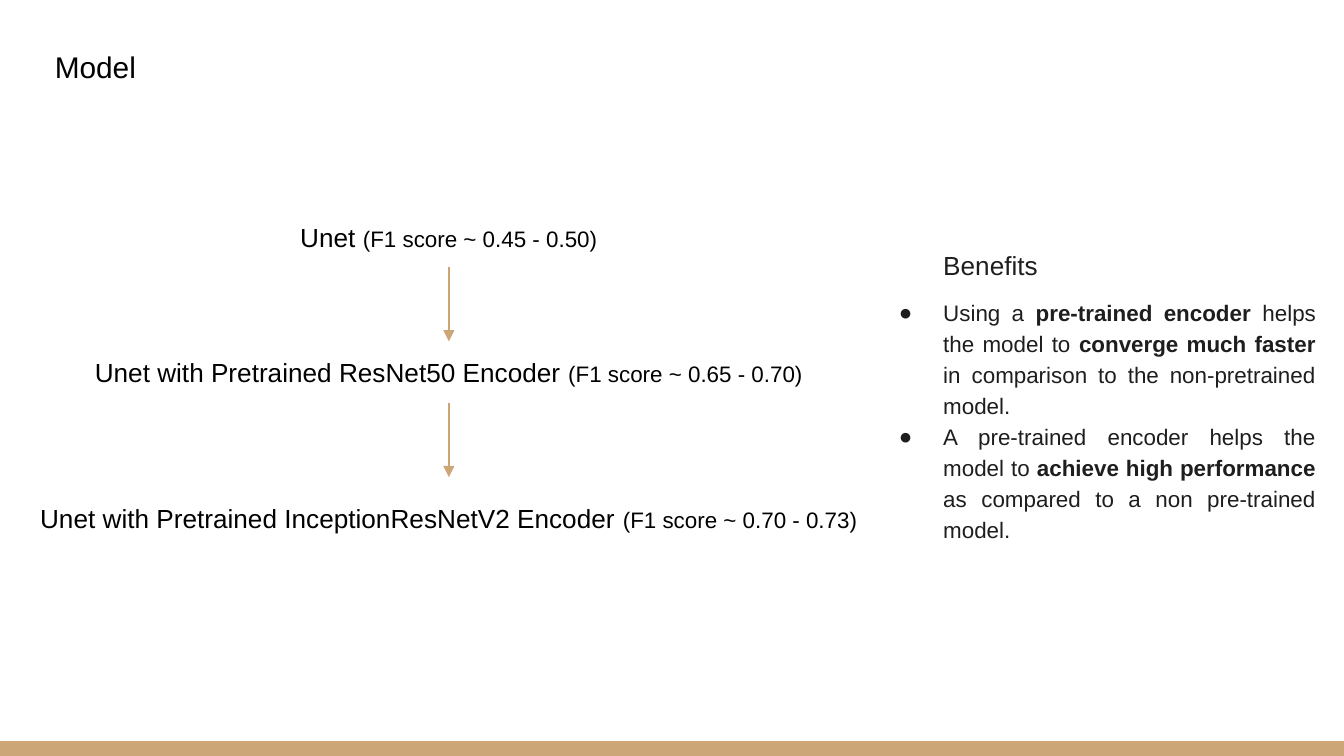
"""Build the Model slide: three encoder stages and the benefits of pre-training."""
import lxml.etree
import pptx
import pptx.dml.color
import pptx.enum.shapes
import pptx.enum.text
import pptx.oxml.ns
import pptx.util

Inches = pptx.util.Inches
Pt = pptx.util.Pt
qn = pptx.oxml.ns.qn
ALIGN = pptx.enum.text.PP_ALIGN
COLORS = {"text": "000000", "benefits": "1E1E1E", "accent": "CCA677", "background": "FFFFFF"}


def add_text_box(slide, left, top, width, height):
    text_frame = slide.shapes.add_textbox(
        Inches(left), Inches(top), Inches(width), Inches(height)).text_frame
    text_frame.word_wrap = True
    text_frame.margin_left = text_frame.margin_right = Inches(0.1)
    text_frame.margin_top = text_frame.margin_bottom = Inches(0.1)
    return text_frame


def add_run(paragraph, text, size, color, bold=False):
    run = paragraph.add_run()
    run.text = text
    run.font.name = "Arial"
    run.font.size = Pt(size)
    run.font.bold = bold
    run.font.color.rgb = pptx.dml.color.RGBColor.from_string(COLORS[color])


presentation = pptx.Presentation()
presentation.slide_width = Inches(10)
presentation.slide_height = Inches(10) * 9 // 16
slide = presentation.slides.add_slide(presentation.slide_layouts[6])
accent = pptx.dml.color.RGBColor.from_string(COLORS["accent"])
slide.background.fill.solid()
slide.background.fill.fore_color.rgb = pptx.dml.color.RGBColor.from_string(COLORS["background"])

bar_height = Inches(0.11)
footer_bar = slide.shapes.add_shape(
    pptx.enum.shapes.MSO_SHAPE.RECTANGLE, Inches(0), presentation.slide_height - bar_height,
    presentation.slide_width, bar_height)
footer_bar.shadow.inherit = False
footer_bar.fill.solid()
footer_bar.fill.fore_color.rgb = accent
footer_bar.line.fill.background()

title_frame = add_text_box(slide, 0.31, 0.26, 2.9, 0.47)
add_run(title_frame.paragraphs[0], "Model", 16, "text")

flow_center = 3.34
stages = [
    ("Unet ", "(F1 score ~ 0.45 - 0.50)", 1.55, 2.67),
    ("Unet with Pretrained ResNet50 Encoder ", "(F1 score ~ 0.65 - 0.70)", 2.55, 5.56),
    ("Unet with Pretrained InceptionResNetV2 Encoder ", "(F1 score ~ 0.70 - 0.73)", 3.64, 6.53),
]
for name, score, top, width in stages:
    paragraph = add_text_box(slide, flow_center - width / 2, top, width, 0.44).paragraphs[0]
    paragraph.alignment = ALIGN.CENTER
    add_run(paragraph, name, 14, "text")
    add_run(paragraph, score, 12, "text")

benefits_frame = add_text_box(slide, 6.42, 1.72, 3.47, 2.18)
heading = benefits_frame.paragraphs[0]
heading.line_spacing = 1.15
heading._p.get_or_add_pPr().set("marL", str(Inches(0.5)))
add_run(heading, "Benefits", 14, "benefits")

benefits = [
    ("Using a ", "pre-trained encoder", " helps the model to ", "converge much faster",
     " in comparison to the non-pretrained model."),
    ("A pre-trained encoder helps the model to ", "achieve high performance",
     " as compared to a non pre-trained model."),
]
for number, parts in enumerate(benefits):
    paragraph = benefits_frame.add_paragraph()
    paragraph.alignment = ALIGN.JUSTIFY
    paragraph.line_spacing = 1.15
    paragraph.space_before = Pt(0 if number else 8)
    properties = paragraph._p.get_or_add_pPr()
    properties.set("marL", str(Inches(0.5)))
    properties.set("indent", str(Inches(-0.33)))
    bullet_color = lxml.etree.SubElement(properties, qn("a:buClr"))
    lxml.etree.SubElement(bullet_color, qn("a:srgbClr"), val=COLORS["benefits"])
    lxml.etree.SubElement(properties, qn("a:buFont"), typeface="Arial")
    lxml.etree.SubElement(properties, qn("a:buChar"), char="●")
    for position, text in enumerate(parts):
        add_run(paragraph, text, 12, "benefits", bold=position % 2 == 1)

for top in (1.99, 3):
    arrow = slide.shapes.add_connector(
        pptx.enum.shapes.MSO_CONNECTOR.STRAIGHT,
        Inches(flow_center), Inches(top), Inches(flow_center), Inches(top + 0.55))
    arrow.line.color.rgb = accent
    arrow.line.width = Pt(0.75)
    lxml.etree.SubElement(
        arrow.line._get_or_add_ln(), qn("a:tailEnd"), type="triangle", w="med", len="med")
    lxml.etree.SubElement(arrow._element.spPr, qn("a:effectLst"))

presentation.save("out.pptx")
